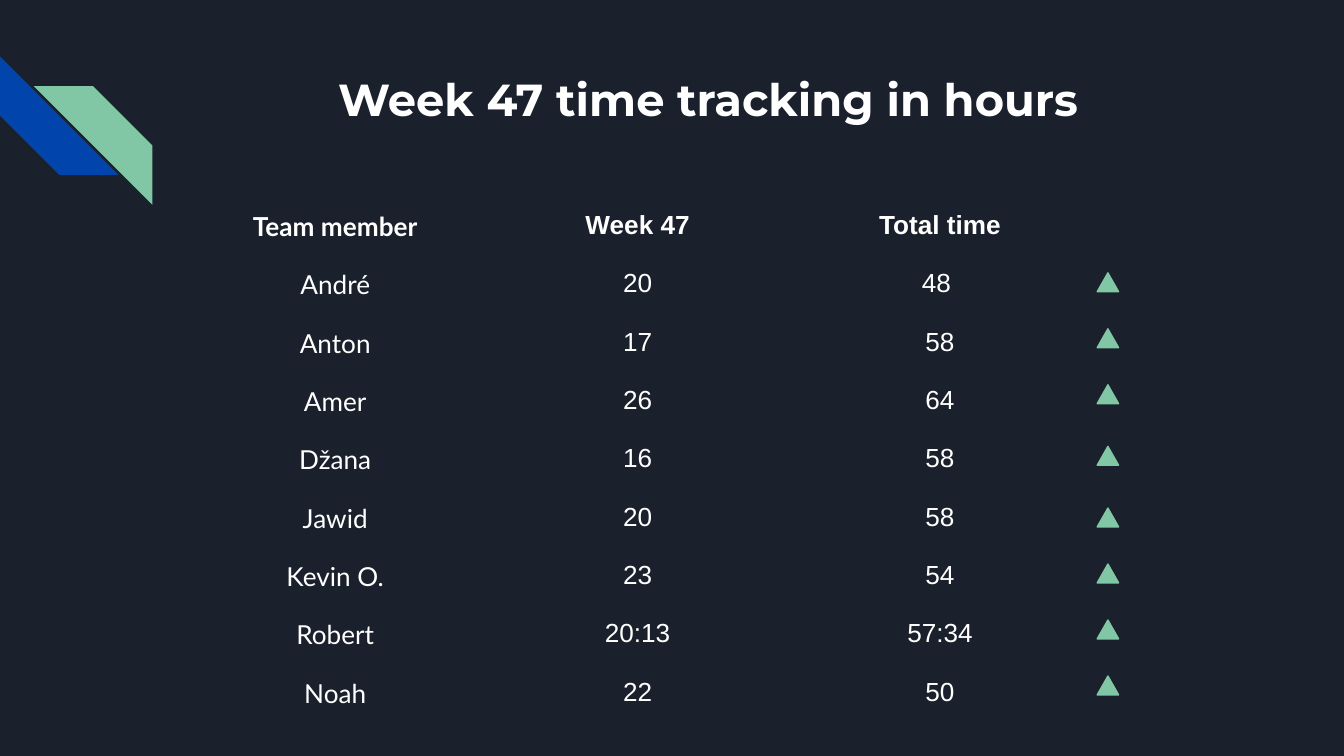
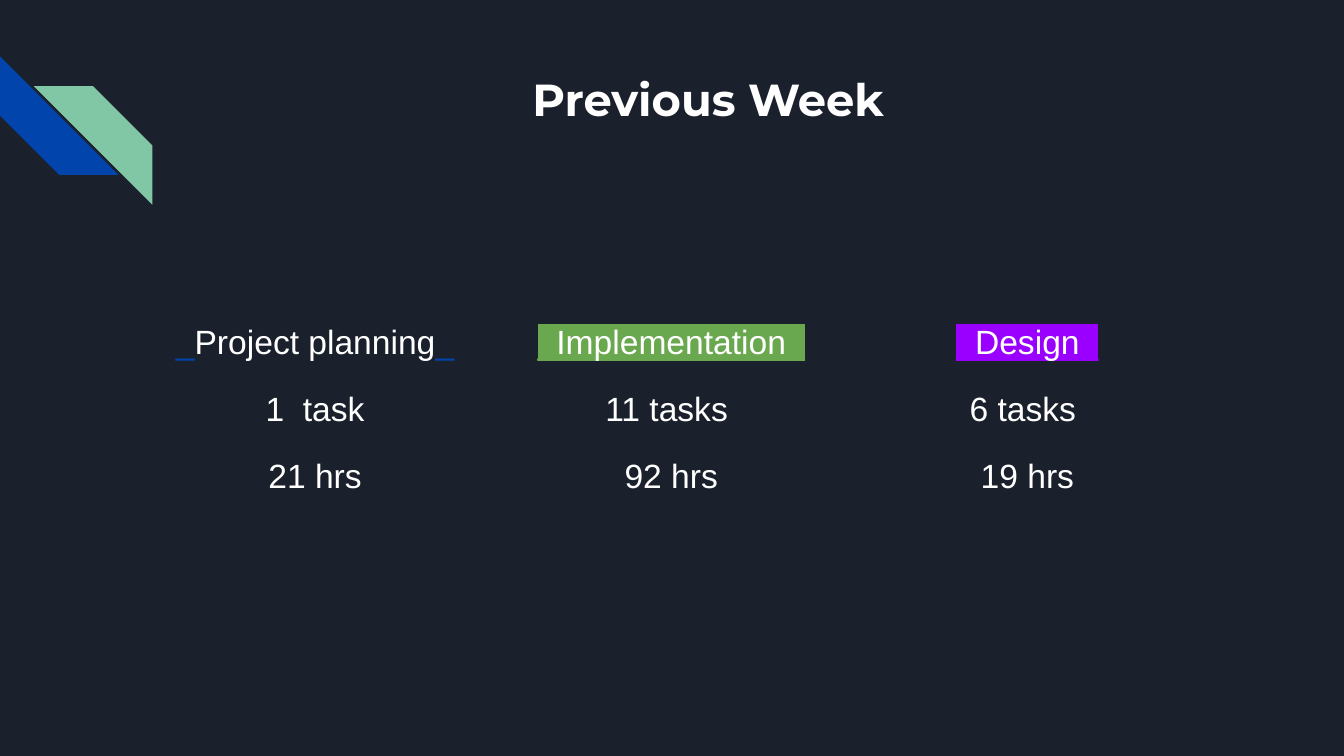
from itertools import accumulate

from lxml import etree
from pptx import Presentation
from pptx.dml.color import RGBColor
from pptx.enum import shapes, text
from pptx.oxml.ns import qn
from pptx.util import Pt

# Content
TIME_TITLE = "Week 47 time tracking in hours"
TIME_ROWS = [
    ("Team member", "Week 47", "Total time"),
    ("André", "20", "48 "),
    ("Anton", "17", "58"),
    ("Amer", "26", "64"),
    ("Džana", "16", "58"),
    ("Jawid", "20", "58"),
    ("Kevin O.", "23", "54"),
    ("Robert", "20:13", "57:34"),
    ("Noah", "22", "50"),
]
TREND_GAPS = [30, 30, 33, 33, 30, 30, 30]

WEEK_TITLE = "Previous Week"
WEEK_ROWS = [
    ("Project planning", "Implementation", "Design"),
    ("1  task", "11 tasks ", "6 tasks "),
    ("21 hrs", "92 hrs", "19 hrs"),
]

# Style
NAVY = RGBColor(0x1B, 0x21, 0x2C)
BLUE = RGBColor(0x01, 0x45, 0xAC)
MINT = RGBColor(0x82, 0xC7, 0xA5)
WHITE = RGBColor(0xFF, 0xFF, 0xFF)
GREEN = RGBColor(0x6A, 0xA8, 0x4F)
PURPLE = RGBColor(0x99, 0x00, 0xFF)
# Edge colour and highlight of each category label
LABEL_STYLES = [(BLUE, None), (GREEN, GREEN), (PURPLE, PURPLE)]

TITLE_FONT, NAME_FONT, BODY_FONT = "Montserrat", "Lato", "Arial"
INSET = Pt(7.2)
NO_TABLE_STYLE = "{2D5ABB26-0587-4C30-8999-92F81FD0307C}"


def style_paragraph(paragraph, font_name, size, bold=False):
    paragraph.alignment = text.PP_ALIGN.CENTER
    font = paragraph.font
    font.name, font.size, font.bold = font_name, Pt(size), bold
    font.color.rgb = WHITE


def add_solid_shape(parent, kind, left, top, width, height, color):
    shape = parent.add_shape(kind, Pt(left), Pt(top), Pt(width), Pt(height))
    shape.shadow.inherit = False
    shape.fill.solid()
    shape.fill.fore_color.rgb = color
    shape.line.fill.background()
    return shape


def add_titled_slide(presentation, title):
    """Add a slide with the corner stripes and the title."""
    slide = presentation.slides.add_slide(presentation.slide_layouts[6])
    stripes = slide.shapes.add_group_shape().shapes
    stripe = shapes.MSO_SHAPE.DIAGONAL_STRIPE
    lower = add_solid_shape(stripes, stripe, 0, 30.2, 63.5, 63.5, BLUE)
    lower.rotation = 270
    upper = add_solid_shape(stripes, stripe, 18.2, 46.2, 63.5, 63.5, MINT)
    upper._element.spPr.xfrm.set("flipH", "1")

    box = slide.shapes.add_textbox(Pt(102.2), Pt(31), Pt(554.4), Pt(72))
    frame = box.text_frame
    frame.word_wrap = True
    frame.margin_left = frame.margin_right = INSET
    frame.margin_top = frame.margin_bottom = INSET
    paragraph = frame.paragraphs[0]
    paragraph.add_run().text = title
    style_paragraph(paragraph, TITLE_FONT, 24, bold=True)
    return slide, paragraph.runs[0]


def add_plain_table(slide, rows, left, top, column_width, row_height):
    """Add a table without fills or borders; return it with its text set."""
    columns = len(rows[0])
    table = slide.shapes.add_table(
        len(rows), columns, Pt(left), Pt(top),
        Pt(column_width * columns), Pt(row_height * len(rows))).table
    table.first_row = table.horz_banding = False
    table._tbl.tblPr.find(qn("a:tableStyleId")).text = NO_TABLE_STYLE
    for row, values in zip(table.rows, rows):
        for cell, value in zip(row.cells, values):
            cell.fill.background()
            cell.margin_left = cell.margin_right = INSET
            cell.margin_top = cell.margin_bottom = INSET
            cell.text = value
    return table


def add_title_shadow(run):
    effects = etree.SubElement(run._r.get_or_add_rPr(), qn("a:effectLst"))
    shadow = etree.SubElement(
        effects, qn("a:outerShdw"), blurRad=str(Pt(4.5)), dist=str(Pt(1.5)),
        dir="5400000", algn="bl", rotWithShape="0")
    color = etree.SubElement(shadow, qn("a:srgbClr"), val=str(WHITE))
    etree.SubElement(color, qn("a:alpha"), val="50000")


def highlight(run, color):
    mark = etree.Element(qn("a:highlight"))
    etree.SubElement(mark, qn("a:srgbClr"), val=str(color))
    run._r.rPr.find(qn("a:solidFill")).addnext(mark)


def build_time_slide(presentation):
    slide, title_run = add_titled_slide(presentation, TIME_TITLE)
    add_title_shadow(title_run)

    # Hours per team member
    table = add_plain_table(slide, TIME_ROWS, 98.6, 105.8, 162, 31.15)
    for row_index, row in enumerate(table.rows):
        for column_index, cell in enumerate(row.cells):
            font_name = BODY_FONT if column_index else NAME_FONT
            style_paragraph(cell.text_frame.paragraphs[0], font_name, 14,
                            bold=row_index == 0)

    # Upward trend markers
    for top in accumulate(TREND_GAPS, initial=146.2):
        marker = add_solid_shape(
            slide.shapes, shapes.MSO_SHAPE.ISOSCELES_TRIANGLE,
            587.8, top, 11.5, 10.1, MINT)
        marker.line.color.rgb = MINT
        marker.line.width = Pt(0.75)


def build_week_slide(presentation):
    slide, _ = add_titled_slide(presentation, WEEK_TITLE)
    table = add_plain_table(slide, WEEK_ROWS, 73.4, 166.3, 190.8, 34.6)
    for cell in table.iter_cells():
        style_paragraph(cell.text_frame.paragraphs[0], BODY_FONT, 18)

    # Category labels, padded by underscores in the edge colour
    for cell, (edge, mark) in zip(table.rows[0].cells, LABEL_STYLES):
        paragraph = cell.text_frame.paragraphs[0]
        label = cell.text
        paragraph.clear()
        for part, color in (("_", edge), (label, WHITE), ("_", edge)):
            run = paragraph.add_run()
            run.text = part
            run.font.color.rgb = color
            if mark:
                highlight(run, mark)


def main():
    presentation = Presentation()
    presentation.slide_width, presentation.slide_height = Pt(720), Pt(405)
    background = presentation.slide_master.background.fill
    background.solid()
    background.fore_color.rgb = NAVY
    build_time_slide(presentation)
    build_week_slide(presentation)
    presentation.save("out.pptx")


if __name__ == "__main__":
    main()
